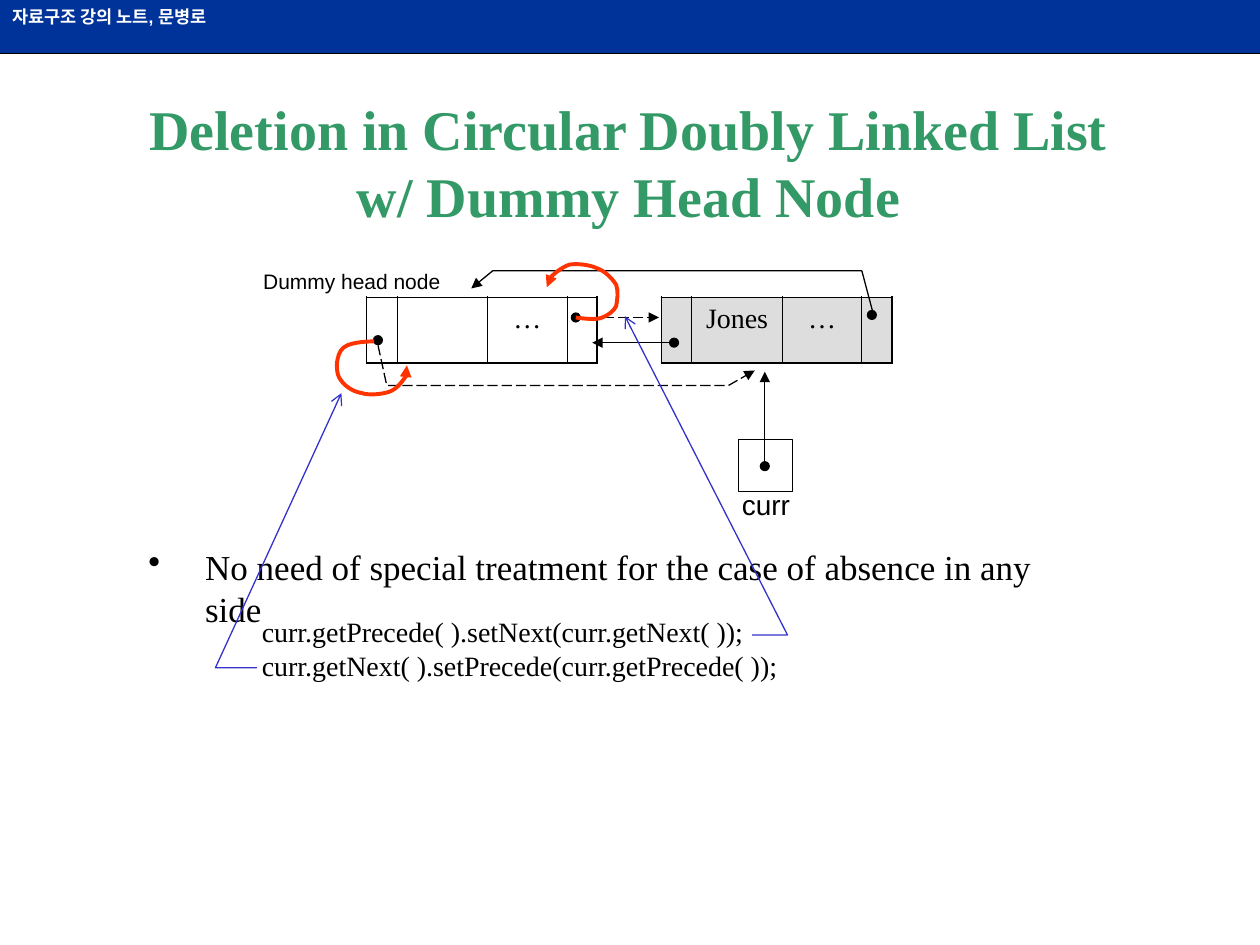
from dataclasses import dataclass

from lxml.etree import SubElement
from pptx import Presentation
from pptx.dml.color import RGBColor as RGB
from pptx.enum.dml import MSO_LINE as Dash
from pptx.enum.shapes import MSO_CONNECTOR as Conn, MSO_SHAPE as Shp
from pptx.enum.text import MSO_ANCHOR as Anchor, PP_ALIGN as Align
from pptx.oxml.ns import qn
from pptx.util import Inches, Pt

Point = tuple[float, float]


@dataclass(frozen=True)
class Theme:
    black: str = "000000"
    white: str = "FFFFFF"
    bar: str = "003399"
    title: str = "339966"
    shade: str = "DDDDDD"
    new_link: str = "FF3300"
    pointer: str = "3333CC"
    serif: str = "Times New Roman"
    sans: str = "Arial"
    title_pt: int = 32
    body_pt: int = 20
    code_pt: int = 16
    label_pt: int = 12
    bar_pt: int = 10
    thin: float = 0.75
    thick: float = 2.25
    cell_outer: float = 1.08
    cell_inner: float = 0.45


T = Theme()


@dataclass(frozen=True)
class Font:
    size: int
    name: str = T.serif
    color: str = T.black
    bold: bool = False


@dataclass(frozen=True)
class Node:
    left: float
    texts: tuple[str, ...]
    fill: str | None = None


@dataclass(frozen=True)
class Link:
    points: tuple[Point, ...]
    color: str = T.black
    width: float = T.thin
    head: str = "triangle"
    dash: bool = False
    curved: bool = False


NODE_TOP, NODE_HEIGHT = 2.36, 0.52
NODE_COLUMNS = (0.24, 0.72, 0.63, 0.24)
DOT = 0.07

NODES = (
    Node(2.91, ("", "", "…", "")),
    Node(5.25, ("", "Jones", "…", ""), T.shade),
)
DOTS = ((4.57, 2.52), (3, 2.7), (5.35, 2.72), (6.92, 2.5), (6.07, 3.7))
STRAIGHT_LINKS = (
    Link(((4.57, 2.52), (5.23, 2.52)), dash=True),
    Link(((5.35, 2.72), (4.7, 2.72))),
    Link(((6.07, 3.7), (6.07, 2.95))),
)
BENT_LINKS = (
    Link(((3, 2.74), (3.07, 3.06), (5.78, 3.06), (5.99, 2.94)), dash=True),
    Link(((6.93, 2.49), (6.84, 2.15), (3.91, 2.15), (3.74, 2.29))),
    Link(((4.57, 2.52), (4.65, 2.53), (4.73, 2.54), (4.78, 2.52),
          (4.83, 2.5), (4.87, 2.47), (4.89, 2.43),
          (4.9, 2.38), (4.91, 2.31), (4.89, 2.26),
          (4.86, 2.21), (4.8, 2.15), (4.74, 2.13),
          (4.68, 2.1), (4.58, 2.09), (4.52, 2.1),
          (4.46, 2.12), (4.4, 2.17), (4.37, 2.2),
          (4.35, 2.23), (4.34, 2.25), (4.34, 2.28)),
         T.new_link, T.thick, curved=True),
    Link(((5.97, 5.04), (6.25, 5.04), (4.96, 2.51)), T.pointer, head="arrow"),
    Link(((2.97, 2.71), (2.89, 2.71), (2.81, 2.72), (2.76, 2.74),
          (2.71, 2.76), (2.69, 2.8), (2.68, 2.85),
          (2.67, 2.89), (2.67, 2.97), (2.7, 3.01),
          (2.73, 3.06), (2.8, 3.11), (2.87, 3.12),
          (2.93, 3.14), (3.03, 3.13), (3.09, 3.11),
          (3.15, 3.09), (3.19, 3.03), (3.22, 2.99),
          (3.24, 2.96), (3.24, 2.93), (3.23, 2.9)),
         T.new_link, T.thick, curved=True),
    Link(((2.04, 5.3), (1.71, 5.3), (2.71, 3.12)), T.pointer, head="arrow"),
)


def emu(*lengths: float) -> list[int]:
    return [Inches(v) for v in lengths]


def add_run(p, text: str, font: Font) -> None:
    r = p.add_run()
    r.text = text
    r.font.size, r.font.name, r.font.bold = Pt(font.size), font.name, font.bold
    r.font.color.rgb = RGB.from_string(font.color)


def add_text(slide, box: tuple[float, ...], lines: tuple[str, ...], font: Font,
             wrap: bool = True):
    tf = slide.shapes.add_textbox(*emu(*box)).text_frame
    tf.word_wrap = wrap
    for i, line in enumerate(lines):
        p = tf.add_paragraph() if i else tf.paragraphs[0]
        add_run(p, line, font)
    return tf


def add_block(slide, kind, box: tuple[float, ...], fill: str | None,
              line: str | None = T.black):
    sp = slide.shapes.add_shape(kind, *emu(*box))
    sp.shadow.inherit = False
    if fill:
        sp.fill.solid()
        sp.fill.fore_color.rgb = RGB.from_string(fill)
    else:
        sp.fill.background()
    if line:
        sp.line.color.rgb = RGB.from_string(line)
        sp.line.width = Pt(T.thin)
    else:
        sp.line.fill.background()
    return sp


def style_link(sp, link: Link) -> None:
    sp.line.color.rgb = RGB.from_string(link.color)
    sp.line.width = Pt(link.width)
    if link.dash:
        sp.line.dash_style = Dash.LONG_DASH
    ln = sp._element.spPr.find(qn("a:ln"))
    SubElement(ln, qn("a:tailEnd"), type=link.head)


def add_straight(slide, start: Point, end: Point):
    sp = slide.shapes.add_connector(Conn.STRAIGHT, *emu(*start, *end))
    return sp


def clear_effects(sp) -> None:
    SubElement(sp._element.spPr, qn("a:effectLst"))


def add_bent(slide, link: Link) -> None:
    start, *rest = [emu(*pt) for pt in link.points]
    fb = slide.shapes.build_freeform(*start)
    fb.add_line_segments(rest, close=False)
    sp = fb.convert_to_shape()
    sp.shadow.inherit = False
    sp.fill.background()
    if link.curved:
        path = sp._element.find(".//" + qn("a:path"))
        segments = path.findall(qn("a:lnTo"))
        for i in range(0, len(segments), 3):
            curve = SubElement(path, qn("a:cubicBezTo"))
            for segment in segments[i:i + 3]:
                curve.append(segment[0])
                path.remove(segment)
    style_link(sp, link)


def add_node(slide, node: Node) -> None:
    last = len(NODE_COLUMNS) - 1
    box = emu(node.left, NODE_TOP, sum(NODE_COLUMNS), NODE_HEIGHT)
    table = slide.shapes.add_table(1, last + 1, *box).table
    table.first_row = table.horz_banding = False
    for i, (width, text) in enumerate(zip(NODE_COLUMNS, node.texts)):
        table.columns[i].width = Inches(width)
        cell = table.cell(0, i)
        outer = {"T", "B"} | ({"L"} if i == 0 else set()) | ({"R"} if i == last else set())
        for side in "LRTB":
            width_pt = T.cell_outer if side in outer else T.cell_inner
            ln = SubElement(cell._tc.get_or_add_tcPr(), qn("a:ln" + side), w=str(Pt(width_pt)))
            SubElement(SubElement(ln, qn("a:solidFill")), qn("a:srgbClr"), val=T.black)
        if node.fill:
            cell.fill.solid()
            cell.fill.fore_color.rgb = RGB.from_string(node.fill)
        else:
            cell.fill.background()
        if text:
            p = cell.text_frame.paragraphs[0]
            p.alignment = Align.CENTER
            add_run(p, text, Font(T.code_pt))


def add_header(slide) -> None:
    rule = add_straight(slide, (0, 0.42), (10, 0.42))
    rule.line.color.rgb = RGB.from_string(T.black)
    rule.line.width = Pt(1.5)
    clear_effects(rule)
    tf = add_block(slide, Shp.RECTANGLE, (0, 0, 10, 0.42), T.bar, None).text_frame
    tf.vertical_anchor = Anchor.TOP
    tf.paragraphs[0].alignment = Align.LEFT
    add_run(tf.paragraphs[0], "자료구조 강의 노트, 문병로", Font(T.bar_pt, T.sans, T.white, True))


def add_copy(slide) -> None:
    tf = add_text(slide, (0.98, 0.7, 8.02, 1.17),
                  ("Deletion in Circular Doubly Linked List w/ Dummy Head Node",),
                  Font(T.title_pt, color=T.title, bold=True))
    tf.vertical_anchor = Anchor.MIDDLE
    tf.paragraphs[0].alignment = Align.CENTER
    tf = add_text(slide, (1.98, 4.88, 7.25, 0.68),
                  ("curr.getPrecede( ).setNext(curr.getNext( ));",
                   "curr.getNext( ).setPrecede(curr.getPrecede( ));"), Font(T.code_pt))
    for p in tf.paragraphs:
        p.line_spacing = 0.8
    tf.paragraphs[1].space_before = Pt(4)
    tf = add_text(slide, (1.08, 4.28, 7.4, 0.78),
                  ("No need of special treatment for the case of absence in any side",),
                  Font(T.body_pt))
    pPr = tf.paragraphs[0]._p.get_or_add_pPr()
    pPr.set("marL", str(Inches(0.45)))
    pPr.set("indent", str(-Inches(0.45)))
    SubElement(pPr, qn("a:buChar"), char="•")


def main() -> None:
    prs = Presentation()
    prs.slide_width, prs.slide_height = emu(10, 7.5)
    slide = prs.slides.add_slide(prs.slide_layouts[6])
    add_header(slide)
    add_copy(slide)
    for node in NODES:
        add_node(slide, node)
    add_block(slide, Shp.RECTANGLE, (5.86, 3.49, 0.43, 0.41), None)
    for x, y in DOTS:
        add_block(slide, Shp.OVAL, (x - DOT / 2, y - DOT / 2, DOT, DOT), T.black)
    for link in STRAIGHT_LINKS:
        sp = add_straight(slide, *link.points)
        style_link(sp, link)
        clear_effects(sp)
    add_text(slide, (5.79, 3.82, 0.58, 0.37), ("curr",), Font(T.code_pt, T.sans), False)
    add_text(slide, (1.99, 2.08, 1.61, 0.3), ("Dummy head node",), Font(T.label_pt, T.sans), False)
    for link in BENT_LINKS:
        add_bent(slide, link)
    prs.save("out.pptx")


if __name__ == "__main__":
    main()
